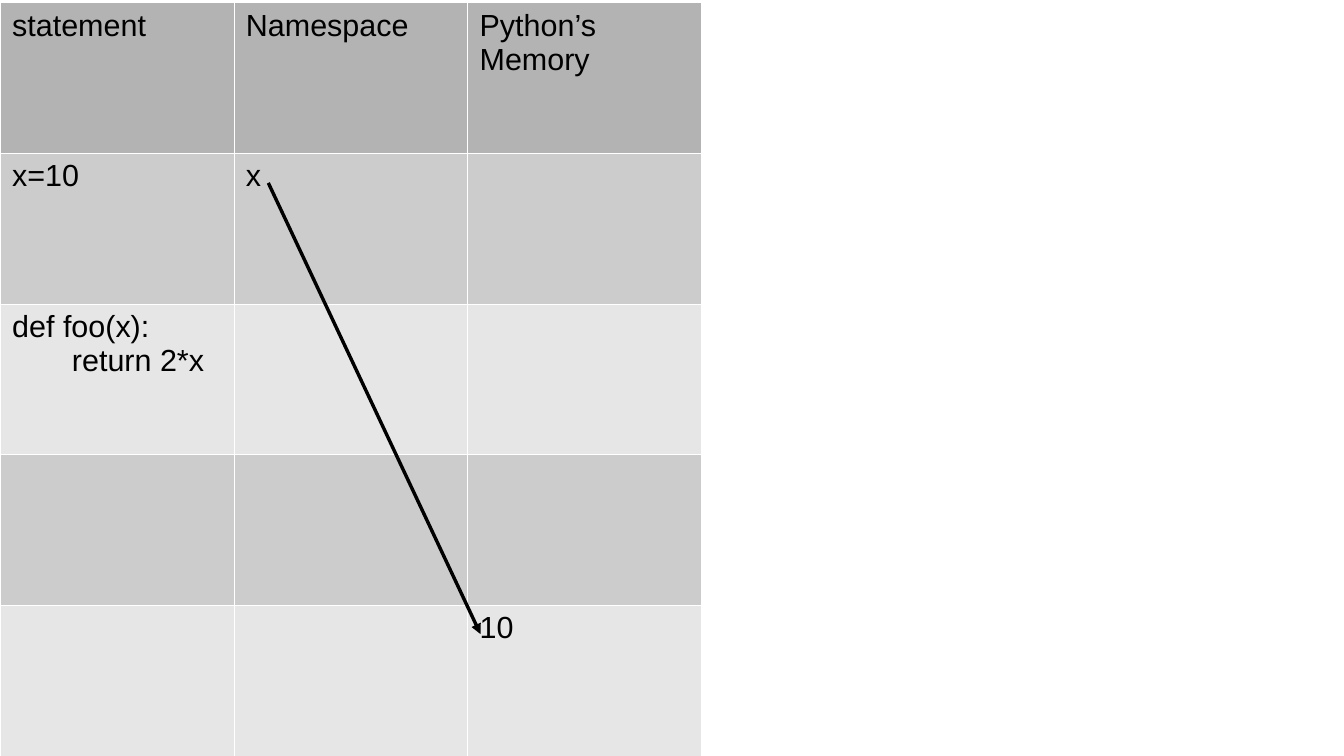
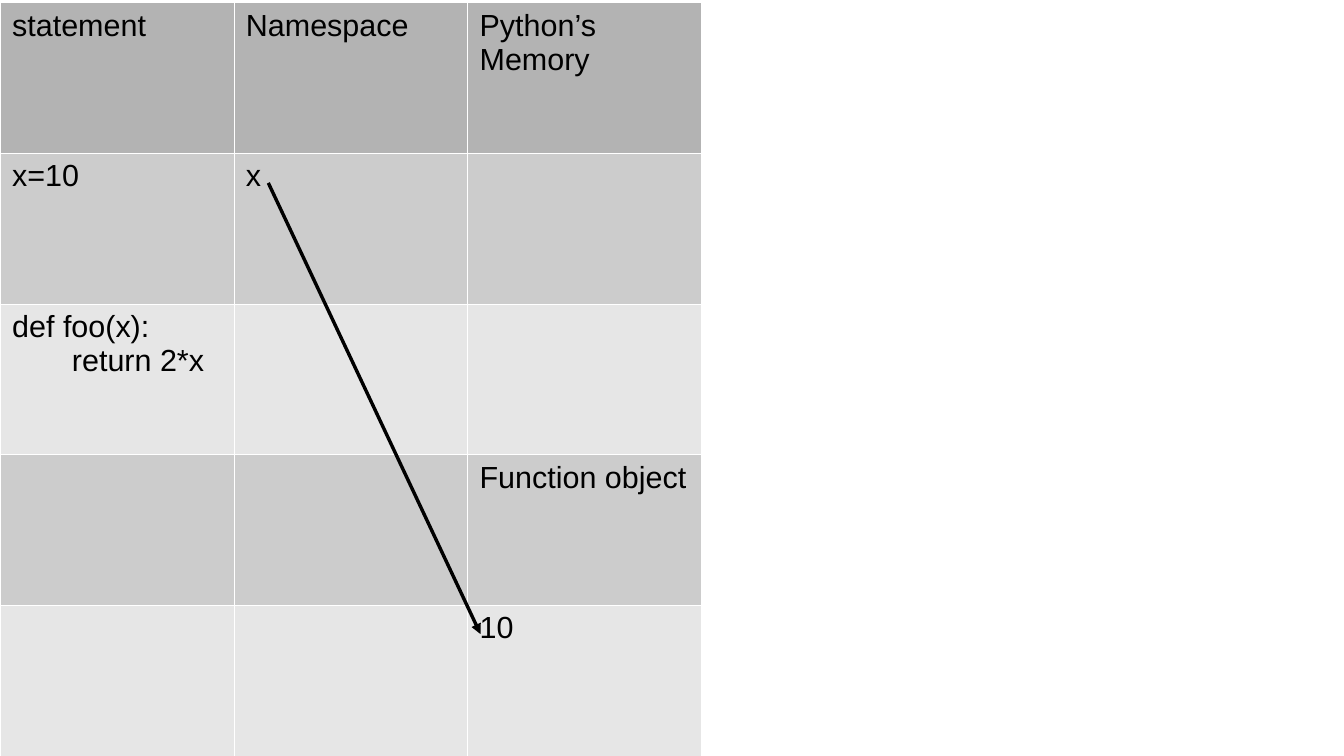
from dataclasses import dataclass, field

from pptx import Presentation
from pptx.dml.color import RGBColor
from pptx.enum.shapes import MSO_CONNECTOR
from pptx.oxml.ns import qn
from pptx.util import Inches, Pt
from lxml import etree

STRAIGHT = MSO_CONNECTOR.STRAIGHT

# Shared look
FONT = "Arial"
FONT_SIZE = 18
BLACK = "000000"
WHITE = "FFFFFF"
HEADER_FILL = "B3B3B3"
BAND_FILLS = ("CCCCCC", "E6E6E6")
BORDER_WIDTH = 0.06
CODE_INDENT = 0.49

# Table grid
TABLE_TOP = 0.02
TABLE_WIDTH = 5.75
TABLE_HEIGHT = 6.18
ROW_COUNT = 5
HEADERS = ("statement", "Namespace", "Python’s Memory")


@dataclass(frozen=True)
class Entry:
    row: int
    column: int
    lines: tuple[str, ...]
    indents: tuple[float, ...] = (0,)


@dataclass(frozen=True)
class Arrow:
    start: tuple[float, float]
    end: tuple[float, float]


@dataclass(frozen=True)
class MemorySlide:
    entries: list[Entry]
    arrows: list[Arrow] = field(default_factory=list)


HEADER_ENTRIES = [Entry(0, column, (text,)) for column, text in enumerate(HEADERS)]
NAME_X_ENTRIES = HEADER_ENTRIES + [
    Entry(1, 0, ("x=10",)),
    Entry(1, 1, ("x",)),
    Entry(2, 0, ("def foo(x):", "return 2*x"), (0, CODE_INDENT)),
    Entry(4, 2, ("10",)),
]
X_TO_TEN = Arrow((2.2, 1.5), (3.94, 5.2))
SLIDES = (
    MemorySlide(NAME_X_ENTRIES, [X_TO_TEN]),
    MemorySlide(NAME_X_ENTRIES + [Entry(3, 2, ("Function object",))], [X_TO_TEN]),
)


def color(value: str) -> RGBColor:
    return RGBColor.from_string(value)


def write_text(paragraph, text: str, *, size: float = FONT_SIZE,
               font_color: str = BLACK, indent: float = 0) -> None:
    run = paragraph.add_run()
    run.text = text
    run.font.name = FONT
    run.font.size = Pt(size)
    run.font.bold = False
    run.font.color.rgb = color(font_color)
    if indent:
        paragraph._p.get_or_add_pPr().set("marL", str(Inches(indent)))


def format_cell(cell, fill: str) -> None:
    cell.margin_left = cell.margin_right = Inches(0.1)
    cell.margin_top = cell.margin_bottom = Inches(0.05)
    # Borders come before the fill in the cell properties
    properties = cell._tc.get_or_add_tcPr()
    for side in ("lnL", "lnR", "lnT", "lnB"):
        border = etree.SubElement(properties, qn(f"a:{side}"), w=str(Pt(BORDER_WIDTH)))
        border_fill = etree.SubElement(border, qn("a:solidFill"))
        etree.SubElement(border_fill, qn("a:srgbClr"), val=WHITE)
    cell.fill.solid()
    cell.fill.fore_color.rgb = color(fill)


def row_fill(row: int) -> str:
    return HEADER_FILL if row == 0 else BAND_FILLS[(row - 1) % len(BAND_FILLS)]


def add_memory_table(slide, entries: list[Entry]) -> None:
    table = slide.shapes.add_table(
        ROW_COUNT, len(HEADERS), Inches(0), Inches(TABLE_TOP),
        Inches(TABLE_WIDTH), Inches(TABLE_HEIGHT)).table
    table.first_row = False
    table.horz_banding = False
    for row in range(ROW_COUNT):
        for column in range(len(HEADERS)):
            format_cell(table.cell(row, column), row_fill(row))
    for entry in entries:
        text_frame = table.cell(entry.row, entry.column).text_frame
        for index, (line, indent) in enumerate(zip(entry.lines, entry.indents)):
            paragraph = text_frame.add_paragraph() if index else text_frame.paragraphs[0]
            write_text(paragraph, line, indent=indent)


def add_arrow(slide, arrow: Arrow) -> None:
    points = [Inches(value) for value in arrow.start + arrow.end]
    connector = slide.shapes.add_connector(STRAIGHT, *points)
    connector.line.color.rgb = color(BLACK)
    connector.line.width = Pt(0)
    etree.SubElement(connector.line._get_or_add_ln(), qn("a:tailEnd"), type="triangle")
    etree.SubElement(connector._element.spPr, qn("a:effectLst"))


def main() -> None:
    presentation = Presentation()
    presentation.slide_width = Inches(11.02)
    presentation.slide_height = Inches(6.2)
    blank_layout = presentation.slide_layouts[6]
    for content in SLIDES:
        slide = presentation.slides.add_slide(blank_layout)
        add_memory_table(slide, content.entries)
        for arrow in content.arrows:
            add_arrow(slide, arrow)
    presentation.save("out.pptx")


if __name__ == "__main__":
    main()
